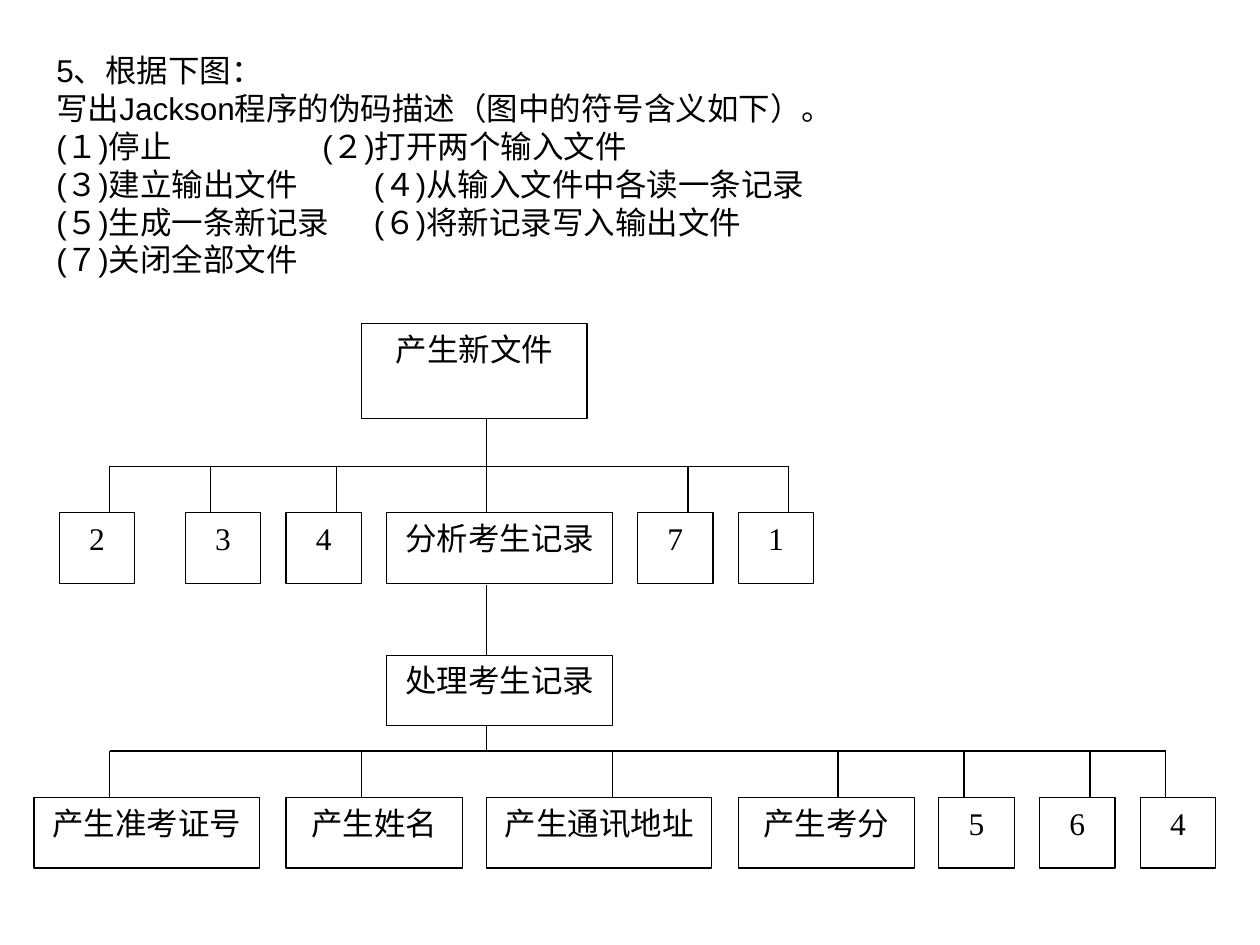
from lxml import etree
from pptx import Presentation
from pptx import util as u
from pptx.dml.color import RGBColor
from pptx.enum import shapes, text
from pptx.oxml import ns

COLORS = {"ink": "000000", "paper": "FFFFFF"}
BOX_HEIGHT = 0.56
DROP = 0.37  # from a branch line down to the boxes below it

# Each line of the question, with the tab stop for its second item
QUESTION = [
    ("5、根据下图：", None),
    ("写出Jackson程序的伪码描述（图中的符号含义如下）。", None),
    ("(１)停止\t(２)打开两个输入文件", 2.11),
    ("(３)建立输出文件\t(４)从输入文件中各读一条记录", 2.52),
    ("(５)生成一条新记录\t(６)将新记录写入输出文件", 2.52),
    ("(７)关闭全部文件", None),
]

# Boxes as (label, left, width), relative to the tree
STEPS = [("2", 0.2, 0.6), ("3", 1.2, 0.6), ("4", 2, 0.6),
         ("分析考生记录", 2.8, 1.79), ("7", 4.79, 0.6), ("1", 5.59, 0.6)]
FIELDS = [("产生准考证号", 0, 1.79), ("产生姓名", 2, 1.4),
          ("产生通讯地址", 3.59, 1.79), ("产生考分", 5.59, 1.4),
          ("5", 7.18, 0.6), ("6", 7.98, 0.6), ("4", 8.78, 0.6)]
STEP_DROPS = [0.6, 1.4, 2.4, 3.59, 5.19, 5.99]
FIELD_DROPS = [0.6, 2.6, 4.59, 6.38, 7.38, 8.38, 8.98]
TRUNK = 3.59


def color(name):
    return RGBColor.from_string(COLORS[name])


def style(para, font_name):
    para.font.name = font_name
    para.font.size = u.Pt(18)
    para.font.color.rgb = color("ink")


def add_tab_stop(para, position):
    properties = para._p.get_or_add_pPr()
    stops = etree.SubElement(properties, ns.qn("a:tabLst"))
    etree.SubElement(stops, ns.qn("a:tab"),
                     pos=str(u.Inches(position)), algn="l")


def add_node(page, label, left, top, width, height=BOX_HEIGHT):
    box = page.shapes.add_shape(
        shapes.MSO_SHAPE.RECTANGLE, u.Inches(left), u.Inches(top),
        u.Inches(width), u.Inches(height))
    box.shadow.inherit = False
    box.fill.solid()
    box.fill.fore_color.rgb = color("paper")
    box.line.color.rgb = color("ink")
    box.line.width = u.Pt(0.75)
    frame = box.text_frame
    frame.word_wrap = True
    frame.vertical_anchor = text.MSO_ANCHOR.TOP
    para = frame.paragraphs[0]
    para.text = label
    para.alignment = text.PP_ALIGN.CENTER
    style(para, "Times New Roman")


def add_line(page, x1, y1, x2, y2):
    line = page.shapes.add_connector(
        shapes.MSO_CONNECTOR.STRAIGHT, u.Inches(x1), u.Inches(y1),
        u.Inches(x2), u.Inches(y2))
    line.line.color.rgb = color("ink")
    line.line.width = u.Pt(0.75)
    etree.SubElement(line._element.spPr, ns.qn("a:effectLst"))


def add_question(page, left, top, width, height):
    box = page.shapes.add_textbox(u.Inches(left), u.Inches(top),
                                  u.Inches(width), u.Inches(height))
    frame = box.text_frame
    frame.word_wrap = True
    for index, (line, stop) in enumerate(QUESTION):
        para = frame.add_paragraph() if index else frame.paragraphs[0]
        para.text = line
        if stop:
            add_tab_stop(para, stop)
        style(para, "Arial")


def add_branch(page, left, top, nodes, drops):
    """A horizontal line with drops to a row of boxes."""
    add_line(page, left + drops[0], top, left + drops[-1], top)
    for x in drops:
        add_line(page, left + x, top, left + x, top + DROP)
    for label, x, width in nodes:
        add_node(page, label, left + x, top + DROP, width)


def add_tree(page, left, top):
    trunk = left + TRUNK
    # Root and middle boxes
    add_node(page, "产生新文件", left + 2.6, top, 1.79, 0.75)
    add_node(page, "处理考生记录", left + 2.8, top + 2.63, 1.79)
    # Trunk between the levels
    for start, end in [(0.75, 1.13), (2.07, 2.63), (3.19, 3.39)]:
        add_line(page, trunk, top + start, trunk, top + end)
    # Rows of boxes
    add_branch(page, left, top + 1.13, STEPS, STEP_DROPS)
    add_branch(page, left, top + 3.39, FIELDS, FIELD_DROPS)


def main():
    deck = Presentation()
    deck.slide_width = u.Inches(10)
    deck.slide_height = u.Inches(7.5)
    page = deck.slides.add_slide(deck.slide_layouts[6])
    add_question(page, 0.35, 0.36, 8.74, 1.9)
    add_tree(page, 0.27, 2.57)
    deck.save("out.pptx")


if __name__ == "__main__":
    main()
